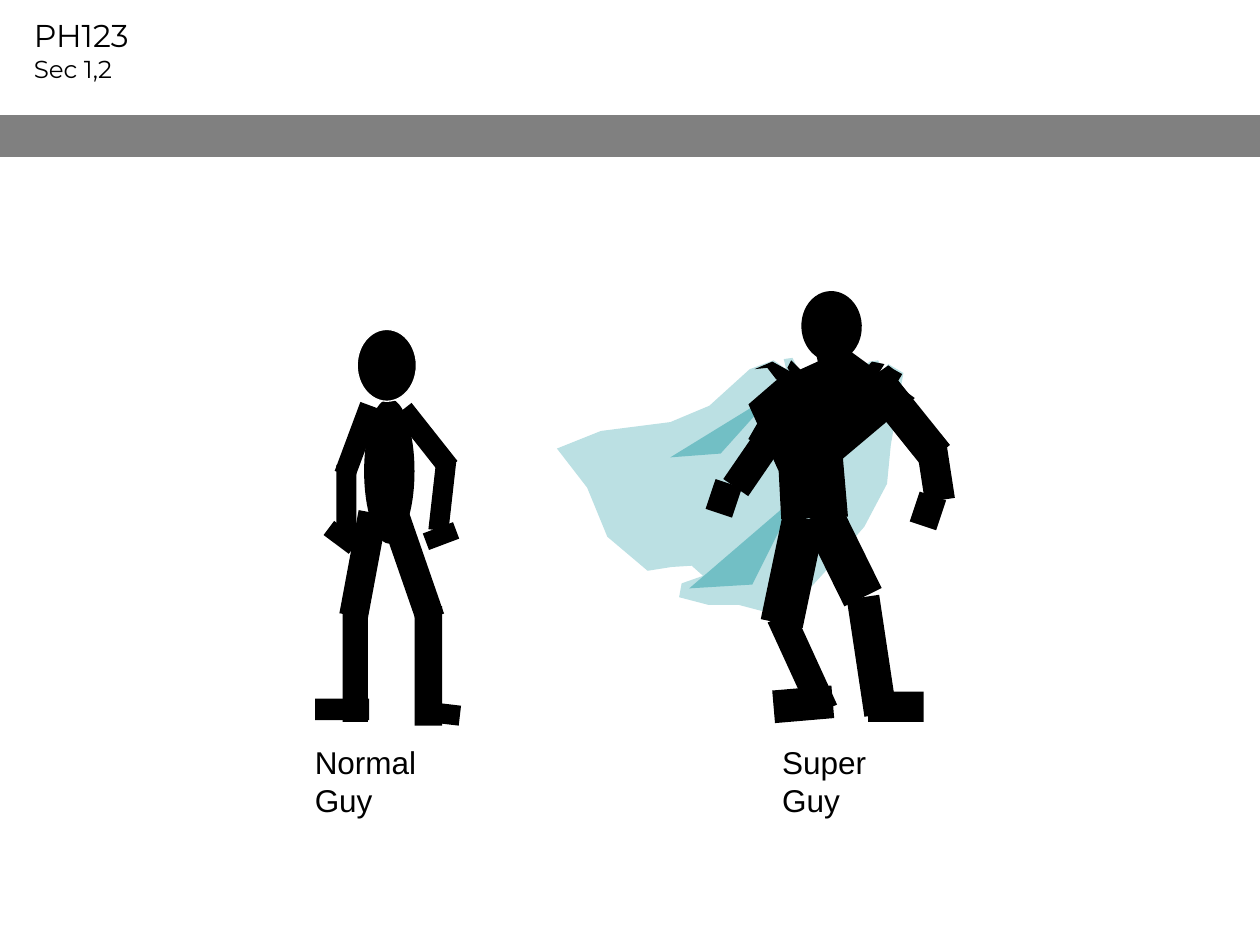
from itertools import pairwise
from math import atan2, degrees, dist

from pptx import Presentation
from pptx.dml.color import RGBColor
from pptx.enum.shapes import MSO_SHAPE as Geom
from pptx.util import Inches, Pt

COLORS = {"black": "000000", "white": "FFFFFF", "bar": "808080",
          "cape": "BBE0E3", "fold": "72BFC5"}
WIDE, HIGH = 10, 7.5


class Sketch:
    """Holds the slide, its colours and the group being drawn into."""

    def __init__(self, slide):
        self.slide = slide
        self.shapes = slide.shapes

    def color(self, name):
        return RGBColor.from_string(COLORS[name])

    def group(self):
        """Send the shapes that follow into a new group."""
        self.shapes = self.slide.shapes.add_group_shape().shapes

    def paint(self, shape, fill, line=None):
        shape.shadow.inherit = False
        shape.fill.solid()
        shape.fill.fore_color.rgb = self.color(fill)
        if line:
            shape.line.color.rgb = self.color(line)
            shape.line.width = Pt(0.75)
        else:
            shape.line.fill.background()

    def shape(self, geom, mid, size, fill="black", turn=0, line=None):
        """Place a preset shape by its centre, then turn it."""
        corner = [m - s / 2 for m, s in zip(mid, size)]
        shape = self.shapes.add_shape(geom, *map(Inches, (*corner, *size)))
        shape.rotation = turn
        self.paint(shape, fill, line)

    def bone(self, start, end, thick, lap=(0, 0), flat=False):
        """Join two points by a bar that runs past each end by its lap.

        A flat bar is turned from lying, any other from standing.
        """
        span = dist(start, end)
        dx, dy = end[0] - start[0], end[1] - start[1]
        shift = (lap[1] - lap[0]) / 2 / span
        mid = ((start[0] + end[0]) / 2 + dx * shift,
               (start[1] + end[1]) / 2 + dy * shift)
        span += sum(lap)
        if flat:
            size, turn = (span, thick), atan2(dy, dx)
        else:
            size, turn = (thick, span), atan2(-dx, dy)
        self.shape(Geom.RECTANGLE, mid, size, turn=degrees(turn))

    def limb(self, joints, thicks, lap):
        """Chain bones from joint to joint; they overlap at inner joints."""
        last = len(thicks) - 1
        for i, (ends, thick) in enumerate(zip(pairwise(joints), thicks)):
            over = (lap if i else 0, lap if i < last else 0)
            self.bone(*ends, thick, over)

    def foot(self, heel, toe, thick):
        self.bone(heel, toe, thick, flat=True)

    def outline(self, points, fill="black"):
        first, *rest = [(Inches(x), Inches(y)) for x, y in points]
        pen = self.shapes.build_freeform(*first)
        pen.add_line_segments(rest, close=True)
        self.paint(pen.convert_to_shape(), fill)

    def text(self, box, lines, font, wrap=False):
        frame = self.slide.shapes.add_textbox(*map(Inches, box)).text_frame
        frame.word_wrap = wrap
        for i, (words, size) in enumerate(lines):
            para = frame.add_paragraph() if i else frame.paragraphs[0]
            para.text = words
            para.font.name = font
            para.font.size = Pt(size)
            para.font.color.rgb = self.color("black")

    def label(self, left, width, name):
        self.text((left, 5.85, width, 0.4), [(name, 18)], "Arial", wrap=True)


def draw_cape(art):
    """Trace the cape edge by edge, then lay its two folds on it."""
    collar = [(6.55, 3.07), (6.35, 2.96), (6.29, 2.84), (6.22, 2.85),
              (6.24, 2.93), (6.14, 2.86), (5.95, 2.93)]
    top = [(5.63, 3.22), (5.32, 3.35), (4.77, 3.42)]
    tail = [(4.42, 3.56), (4.66, 3.87), (4.82, 4.26), (5.14, 4.53)]
    hem = [(5.33, 4.5), (5.49, 4.49), (5.58, 4.57), (5.41, 4.63),
           (5.39, 4.74), (5.62, 4.8), (5.86, 4.8), (6.05, 4.85),
           (6.19, 4.92)]
    side = [(6.4, 4.7), (6.6, 4.48), (6.86, 4.18), (7.04, 3.84),
            (7.07, 3.53), (7.17, 2.96)]
    clasp = [(7.05, 2.89), (6.98, 2.98), (6.82, 3.08), (6.76, 3.05),
             (6.99, 2.91), (6.97, 2.86), (6.9, 2.87), (6.78, 3),
             (6.8, 2.87), (6.64, 3.06)]
    art.outline(collar + top + tail + hem + side + clasp, "cape")

    low_fold = [(6.32, 3.94), (5.47, 4.67), (5.97, 4.64)]
    high_fold = [(6.15, 3.12), (5.32, 3.63), (5.72, 3.6)]
    for fold in (low_fold, high_fold):
        art.outline(fold, "fold")


def draw_chest(art):
    """Trace the torso, then the knots that tie the cape to it."""
    neck = [(6.47, 2.78), (6.77, 2.79), (6.71, 2.76)]
    right = [(7.26, 3.16), (6.69, 3.64)]
    waist = [(6.73, 4.1), (6.2, 4.12)]
    left = [(6.18, 3.74), (5.94, 3.21), (6.16, 3.02), (6.49, 2.87)]
    art.outline(neck + right + waist + left)

    left_knot = [(6.28, 2.86), (6.52, 3.1), (6.3, 3), (6.25, 2.92)]
    left_strap = [(6.13, 2.87), (6.31, 2.97), (6.53, 3.13), (6.32, 3.11),
                  (6.16, 3.01), (6.09, 2.92), (5.99, 2.93)]
    right_knot = [(6.92, 2.87), (6.72, 3.1), (6.97, 2.97), (7.02, 2.89)]
    right_strap = [(7.05, 2.9), (6.77, 3.1), (7.1, 3.07), (7.16, 2.97),
                   (7.09, 2.93)]
    for knot in (left_knot, left_strap, right_knot, right_strap):
        art.outline(knot)


def draw_super(art):
    art.group()
    draw_cape(art)
    art.shape(Geom.OVAL, (6.6, 2.59), (0.48, 0.56), turn=-2.6)

    hip, knee, ankle = (6.38, 4.11), (6.21, 4.92), (6.54, 5.64)
    art.limb([hip, knee, ankle], [0.34, 0.23], lap=0.03)
    art.foot((6.14, 5.61), (6.61, 5.57), 0.26)
    hip, knee, ankle = (6.52, 4.07), (6.85, 4.74), (6.99, 5.67)
    art.limb([hip, knee, ankle], [0.33, 0.26], lap=0)
    art.foot((6.89, 5.61), (7.33, 5.61), 0.24)

    draw_chest(art)

    arm, palm = [0.28, 0.24], 0.25
    neck, elbow, wrist = (6.35, 3.05), (6.08, 3.52), (5.84, 3.87)
    art.limb([neck, elbow, wrist], arm, lap=0.04)
    art.bone((5.64, 3.92), (5.85, 3.99), palm)
    neck, elbow, wrist = (6.95, 3.02), (7.4, 3.58), (7.46, 3.97)
    art.limb([neck, elbow, wrist], arm, lap=0.05)
    art.bone((7.26, 4.02), (7.47, 4.09), palm)

    art.label(6.11, 1.26, "Super Guy")


def draw_normal(art):
    art.group()
    art.shape(Geom.OVAL, (3.09, 3.74), (0.4, 1.15))
    art.shape(Geom.OVAL, (3.07, 2.9), (0.47, 0.57), line="white")

    arm, palm = [0.17, 0.16], 0.14
    neck, elbow, wrist = (2.94, 3.22), (2.75, 3.73), (2.75, 4.27)
    art.limb([neck, elbow, wrist], arm, lap=0.04)
    art.bone((2.61, 4.19), (2.81, 4.34), palm)
    neck, elbow, wrist = (3.2, 3.25), (3.54, 3.68), (3.48, 4.21)
    art.limb([neck, elbow, wrist], arm, lap=0.04)
    art.bone((3.62, 4.21), (3.38, 4.3), palm)

    hip, knee, ankle = (2.96, 4.07), (2.82, 4.82), (2.82, 5.73)
    art.limb([hip, knee, ankle], [0.23, 0.2], lap=0.07)
    art.foot((2.93, 5.63), (2.5, 5.63), 0.17)
    hip, knee, ankle = (3.14, 4.11), (3.4, 4.86), (3.4, 5.76)
    art.limb([hip, knee, ankle], [0.23, 0.22], lap=0.05)
    art.foot((3.31, 5.64), (3.65, 5.68), 0.16)

    art.label(2.4, 1.43, "Normal Guy")


def main():
    deck = Presentation()
    deck.slide_width, deck.slide_height = Inches(WIDE), Inches(HIGH)
    blank = deck.slide_layouts[6]
    art = Sketch(deck.slides.add_slide(blank))

    art.text((0.17, 0.08, 1.09, 0.63), [("PH123", 18), ("Sec 1,2", 14)],
             "Montserrat")
    art.shape(Geom.RECTANGLE, (5.04, 1.08), (10.08, 0.33), "bar")
    draw_super(art)
    draw_normal(art)

    deck.save("out.pptx")


if __name__ == "__main__":
    main()
